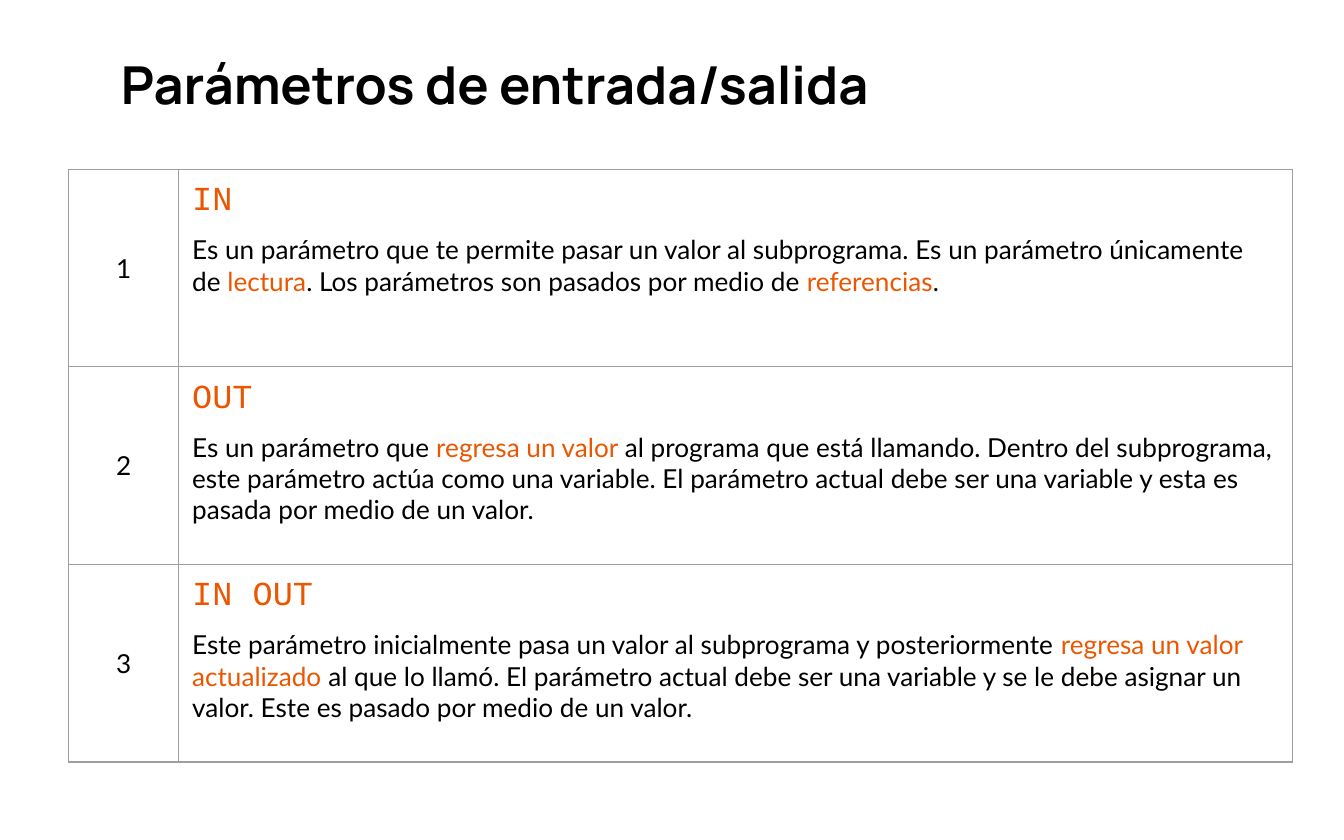
"""Build a slide with a table of the IN, OUT and IN OUT parameter modes."""
from dataclasses import dataclass

from lxml.etree import SubElement
from pptx import Presentation
from pptx.dml.color import RGBColor
from pptx.enum.text import MSO_ANCHOR, MSO_AUTO_SIZE, PP_ALIGN
from pptx.oxml.ns import qn
from pptx.util import Inches, Pt


@dataclass(frozen=True)
class Theme:
    ink: str = "000000"
    accent: str = "EB5600"
    rule: str = "9E9E9E"
    paper: str = "FFFFFF"
    head: str = "Manrope"
    body: str = "Lato"
    code: str = "Courier New"
    head_size: int = 28
    code_size: int = 18
    body_size: int = 14
    gap: int = 7
    line: float = 0.75


theme = Theme()

modes = [
    ("IN", [
        ("Es un parámetro que te permite pasar un valor al subprograma. "
         "Es un parámetro únicamente de ", theme.ink),
        ("lectura", theme.accent),
        (". Los parámetros son pasados por medio de", theme.ink),
        (" referencias", theme.accent),
        (".", theme.ink),
    ]),
    ("OUT", [
        ("Es un parámetro que ", theme.ink),
        ("regresa un valor ", theme.accent),
        ("al programa que está llamando. Dentro del subprograma, este parámetro "
         "actúa como una variable. El parámetro actual debe ser una variable y "
         "esta es pasada por medio de un valor.", theme.ink),
    ]),
    ("IN OUT", [
        ("Este parámetro inicialmente pasa un valor al subprograma y "
         "posteriormente ", theme.ink),
        ("regresa un valor actualizado ", theme.accent),
        ("al que lo llamó. El parámetro actual debe ser una variable y se le debe "
         "asignar un valor. Este es pasado por medio de un valor.", theme.ink),
    ]),
]


def add_run(para, text, face, size, color, bold=False):
    run = para.add_run()
    run.text = text
    run.font.name = face
    run.font.size = Pt(size)
    run.font.bold = bold
    run.font.color.rgb = RGBColor.from_string(color)


def style_cell(cell):
    cell.margin_left = cell.margin_right = Inches(0.1)
    cell.margin_top = cell.margin_bottom = Inches(0.1)
    props = cell._tc.get_or_add_tcPr()
    for side in ("a:lnL", "a:lnR", "a:lnT", "a:lnB"):
        edge = SubElement(props, qn(side), w=str(Pt(theme.line)))
        fill = SubElement(edge, qn("a:solidFill"))
        SubElement(fill, qn("a:srgbClr"), val=theme.rule)
    cell.fill.background()


deck = Presentation()
deck.slide_width = Inches(10)
deck.slide_height = Inches(6.25)
slide = deck.slides.add_slide(deck.slide_layouts[5])
slide.background.fill.solid()
slide.background.fill.fore_color.rgb = RGBColor.from_string(theme.paper)

title = slide.shapes.title
title.left, title.top = Inches(0.8), Inches(0.29)
title.width, title.height = Inches(8.41), Inches(0.65)
frame = title.text_frame
frame.word_wrap = True
frame.auto_size = MSO_AUTO_SIZE.NONE
frame.vertical_anchor = MSO_ANCHOR.TOP
frame.margin_left = frame.margin_right = Inches(0.1)
frame.margin_top = frame.margin_bottom = Inches(0.1)
para = frame.paragraphs[0]
para.alignment = PP_ALIGN.LEFT
add_run(para, "Parámetros de entrada/salida", theme.head, theme.head_size,
        theme.ink, True)

widths = [0.82, 8.29]
height = 1.47
table = slide.shapes.add_table(
    len(modes), len(widths), Inches(0.51), Inches(1.26),
    Inches(sum(widths)), Inches(height * len(modes))).table
table.first_row = False
table.horz_banding = False
for column, width in zip(table.columns, widths):
    column.width = Inches(width)

for index, (mode, parts) in enumerate(modes):
    table.rows[index].height = Inches(height)
    number, detail = table.cell(index, 0), table.cell(index, 1)
    style_cell(number)
    style_cell(detail)

    number.vertical_anchor = MSO_ANCHOR.MIDDLE
    para = number.text_frame.paragraphs[0]
    para.alignment = PP_ALIGN.CENTER
    add_run(para, str(index + 1), theme.body, theme.body_size, theme.ink)

    para = detail.text_frame.paragraphs[0]
    add_run(para, mode, theme.code, theme.code_size, theme.accent)
    para = detail.text_frame.add_paragraph()
    para.space_before = Pt(theme.gap)
    for text, color in parts:
        add_run(para, text, theme.body, theme.body_size, color)

deck.save("out.pptx")
